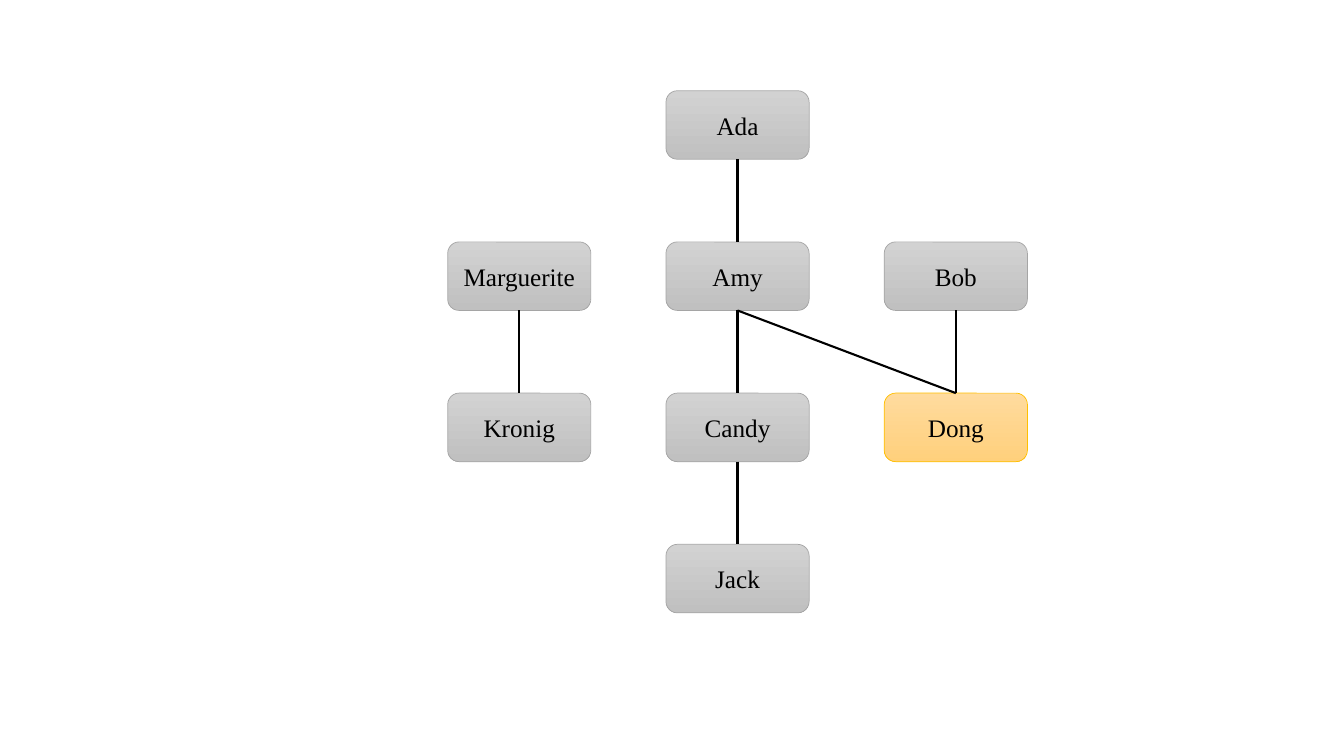
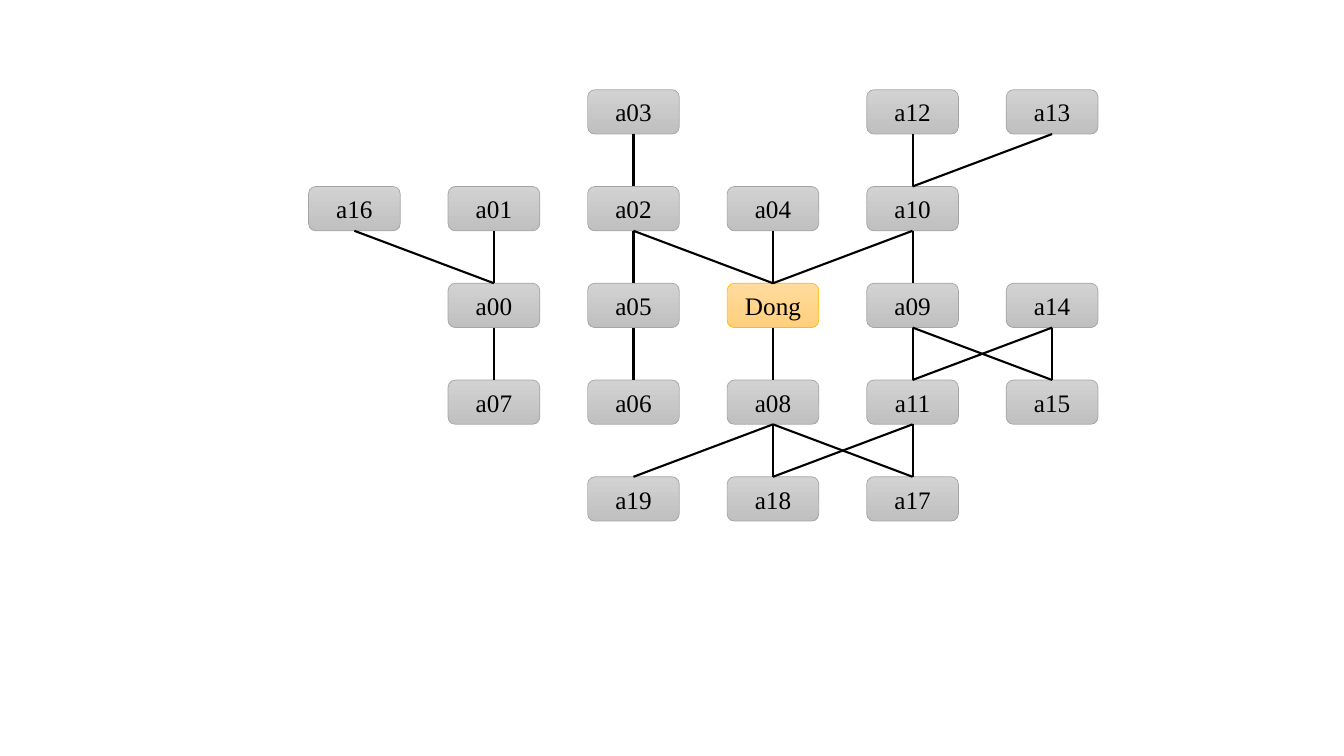
from dataclasses import dataclass

from lxml import etree
from pptx import Presentation
from pptx.dml.color import RGBColor
from pptx.enum import shapes, text
from pptx.oxml import ns
from pptx.shapes import autoshape
from pptx.slide import Slide
from pptx.util import Inches, Pt

BLACK = RGBColor(0x00, 0x00, 0x00)
FONT_NAME = "Times New Roman"
BOTTOM, TOP = 2, 0
HIGHLIGHTED = "Dong"


@dataclass(frozen=True)
class BoxStyle:
    top_fill: RGBColor
    bottom_fill: RGBColor
    outline: RGBColor


GRAY_BOX = BoxStyle(
    RGBColor(0xD2, 0xD2, 0xD2), RGBColor(0xC0, 0xC0, 0xC0), RGBColor(0xA5, 0xA5, 0xA5)
)
GOLD_BOX = BoxStyle(
    RGBColor(0xFF, 0xDB, 0x9E), RGBColor(0xFF, 0xD0, 0x7C), RGBColor(0xFF, 0xC0, 0x00)
)


@dataclass(frozen=True)
class Tree:
    """Rows of names on an even grid (empty for no box) and parent-child links.

    Lengths are in inches; first_left and last_left belong to the outer columns.
    """

    first_left: float
    last_left: float
    top: float
    row_pitch: float
    box_width: float
    box_height: float
    rows: tuple[tuple[str, ...], ...]
    links: dict[str, tuple[str, ...]]


FAMILY_TREE = Tree(
    first_left=4.44,
    last_left=8.77,
    top=0.9,
    row_pitch=1.5,
    box_width=1.42,
    box_height=0.68,
    rows=(
        ("", "Ada", ""),
        ("Marguerite", "Amy", "Bob"),
        ("Kronig", "Candy", "Dong"),
        ("", "Jack", ""),
    ),
    links={
        "Ada": ("Amy",),
        "Marguerite": ("Kronig",),
        "Amy": ("Candy", "Dong"),
        "Bob": ("Dong",),
        "Candy": ("Jack",),
    },
)

CODED_TREE = Tree(
    first_left=3.06,
    last_left=9.98,
    top=0.89,
    row_pitch=0.96,
    box_width=0.91,
    box_height=0.44,
    rows=(
        ("", "", "a03", "", "a12", "a13"),
        ("a16", "a01", "a02", "a04", "a10", ""),
        ("", "a00", "a05", "Dong", "a09", "a14"),
        ("", "a07", "a06", "a08", "a11", "a15"),
        ("", "", "a19", "a18", "a17", ""),
    ),
    links={
        "a03": ("a02",),
        "a12": ("a10",),
        "a13": ("a10",),
        "a16": ("a00",),
        "a01": ("a00",),
        "a02": ("a05", "Dong"),
        "a04": ("Dong",),
        "a10": ("Dong", "a09"),
        "a00": ("a07",),
        "a05": ("a06",),
        "Dong": ("a08",),
        "a09": ("a11", "a15"),
        "a14": ("a11", "a15"),
        "a08": ("a19", "a18", "a17"),
        "a11": ("a18", "a17"),
    },
)


def add_box(
    slide: Slide, name: str, left: float, top: float, width: float, height: float
) -> autoshape.Shape:
    style = GOLD_BOX if name == HIGHLIGHTED else GRAY_BOX
    box = slide.shapes.add_shape(
        shapes.MSO_SHAPE.ROUNDED_RECTANGLE,
        Inches(left), Inches(top), Inches(width), Inches(height),
    )
    box.shadow.inherit = False
    box.fill.gradient()
    box.fill.gradient_angle = 270
    for stop, color in zip(box.fill.gradient_stops, (style.top_fill, style.bottom_fill)):
        stop.color.rgb = color
    box.line.color.rgb = style.outline
    box.line.width = Pt(0.5)

    box.text_frame.vertical_anchor = text.MSO_ANCHOR.MIDDLE
    paragraph = box.text_frame.paragraphs[0]
    paragraph.text = name
    paragraph.alignment = text.PP_ALIGN.CENTER
    paragraph.font.name = FONT_NAME
    paragraph.font.size = Pt(18)
    paragraph.font.color.rgb = BLACK
    return box


def add_link(slide: Slide, parent: autoshape.Shape, child: autoshape.Shape) -> None:
    link = slide.shapes.add_connector(shapes.MSO_CONNECTOR.STRAIGHT, 0, 0, 0, 0)
    link.begin_connect(parent, BOTTOM)
    link.end_connect(child, TOP)
    link.line.color.rgb = BLACK
    link.line.width = Pt(1.5)
    etree.SubElement(link._element.spPr, ns.qn("a:effectLst"))


def draw_tree(slide: Slide, tree: Tree) -> None:
    column_pitch = (tree.last_left - tree.first_left) / (len(tree.rows[0]) - 1)
    boxes = {
        name: add_box(
            slide,
            name,
            tree.first_left + column * column_pitch,
            tree.top + row * tree.row_pitch,
            tree.box_width,
            tree.box_height,
        )
        for row, names in enumerate(tree.rows)
        for column, name in enumerate(names)
        if name
    }
    for parent, children in tree.links.items():
        for child in children:
            add_link(slide, boxes[parent], boxes[child])


def main() -> None:
    presentation = Presentation()
    presentation.slide_width = Inches(13.33)
    presentation.slide_height = Inches(7.5)
    blank_layout = presentation.slide_layouts[6]
    for tree in (FAMILY_TREE, CODED_TREE):
        draw_tree(presentation.slides.add_slide(blank_layout), tree)
    presentation.save("out.pptx")


if __name__ == "__main__":
    main()
